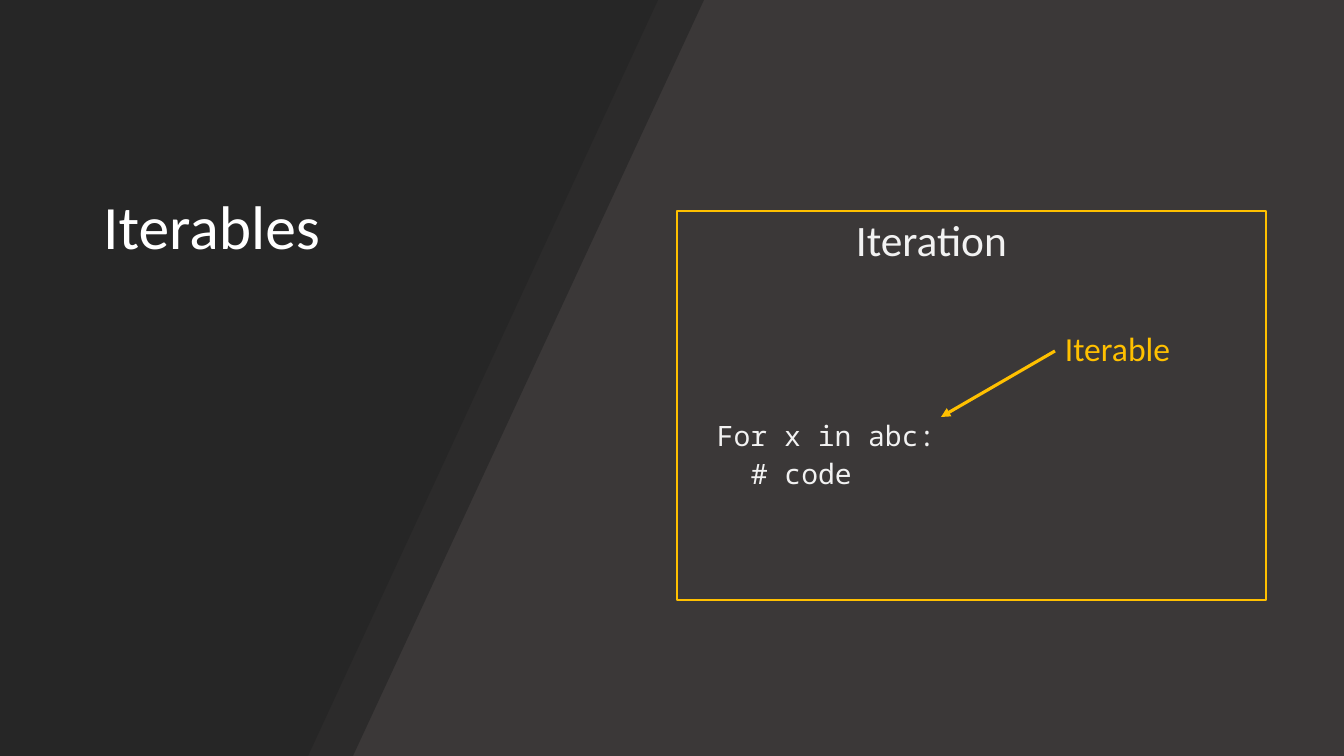
"""Build the Iterables slide: a slanted dark panel beside an annotated for loop."""
from lxml import etree
from pptx import Presentation
from pptx.dml.color import RGBColor
from pptx.enum.shapes import MSO_CONNECTOR, MSO_SHAPE
from pptx.enum.text import MSO_ANCHOR, MSO_AUTO_SIZE, PP_ALIGN
from pptx.oxml.ns import qn
from pptx.util import Pt

STRAIGHT = MSO_CONNECTOR.STRAIGHT
RECTANGLE = MSO_SHAPE.RECTANGLE
MIDDLE, TOP = MSO_ANCHOR.MIDDLE, MSO_ANCHOR.TOP
NO_AUTOFIT = MSO_AUTO_SIZE.NONE
LEFT = PP_ALIGN.LEFT

CHARCOAL = RGBColor(0x3B, 0x38, 0x38)
NEAR_BLACK = RGBColor(0x26, 0x26, 0x26)
WHITE = RGBColor(0xFF, 0xFF, 0xFF)
PALE = RGBColor(0xF2, 0xF2, 0xF2)
AMBER = RGBColor(0xFF, 0xC0, 0x00)
SANS, MONO = "Calibri", "Noto Sans Mono"

WIDTH, HEIGHT = 1344, 756
TITLE = ("Iterables", (93, 48, 361, 363))
PANELS = [(704, 353, 70), (658, 308, 100)]
FRAME = (677, 211, 589, 389)
CODE_INDENT = 34
LABELS = [
    ([("For x in abc:", 0), ("# code", 1)], (707, 417, 277, 90),
     dict(size=20, color=PALE, font=MONO)),
    ([("Iterable", 0)], (1055, 327, 124, 49), dict(size=24, color=AMBER)),
    ([("Iteration", 0)], (846, 214, 174, 62), dict(size=31, color=PALE)),
]
ARROW = (1055, 351, 941, 417)


def emu(*lengths):
    return [round(length * 914400 / 100.8) for length in lengths]


def write(holder, lines, size, color, font=SANS, anchor=TOP, after=6, wrap=False):
    frame = holder.text_frame
    frame.auto_size = NO_AUTOFIT
    frame.word_wrap = wrap
    frame.vertical_anchor = anchor
    for number, (text, level) in enumerate(lines):
        paragraph = frame.add_paragraph() if number else frame.paragraphs[0]
        paragraph.alignment = LEFT
        paragraph.line_spacing = 0.9
        paragraph.space_after = Pt(after)
        if level:
            indent = emu(level * CODE_INDENT)[0]
            paragraph._p.get_or_add_pPr().set("marL", str(indent))
        run = paragraph.add_run()
        run.text = text
        run.font.name, run.font.size = font, Pt(size)
        run.font.color.rgb = color


def add_panel(shapes, top_edge, bottom_edge, opacity):
    outline = shapes.build_freeform(0, 0)
    corners = [(top_edge, 0), (bottom_edge, HEIGHT), (0, HEIGHT)]
    outline.add_line_segments([emu(*corner) for corner in corners], close=True)
    panel = outline.convert_to_shape()
    panel.shadow.inherit = False
    panel.fill.solid()
    panel.fill.fore_color.rgb = NEAR_BLACK
    panel.line.fill.background()
    if opacity < 100:
        color = panel._element.spPr.find(qn("a:solidFill"))[0]
        etree.SubElement(color, qn("a:alpha")).set("val", str(opacity * 1000))


def add_arrow(shapes):
    arrow = shapes.add_connector(STRAIGHT, *emu(*ARROW))
    arrow.line.color.rgb = AMBER
    arrow.line.width = Pt(2.25)
    etree.SubElement(arrow.line._get_or_add_ln(), qn("a:tailEnd")).set("type", "triangle")
    etree.SubElement(arrow._element.spPr, qn("a:effectLst"))


def main():
    deck = Presentation()
    deck.slide_width, deck.slide_height = emu(WIDTH, HEIGHT)
    slide = deck.slides.add_slide(deck.slide_layouts[5])
    slide.background.fill.solid()
    slide.background.fill.fore_color.rgb = CHARCOAL
    shapes = slide.shapes

    for panel in PANELS:
        add_panel(shapes, *panel)

    heading, place = TITLE
    title = shapes.title
    title.left, title.top, title.width, title.height = emu(*place)
    write(title, [(heading, 0)], size=44, color=WHITE, anchor=MIDDLE, after=0, wrap=True)
    shapes._spTree.append(title._element)

    frame = shapes.add_shape(RECTANGLE, *emu(*FRAME))
    frame.shadow.inherit = False
    frame.fill.background()
    frame.line.color.rgb = AMBER
    frame.line.width = Pt(1)

    for lines, place, style in LABELS:
        write(shapes.add_textbox(*emu(*place)), lines, **style)
    add_arrow(shapes)

    deck.save("out.pptx")


if __name__ == "__main__":
    main()
